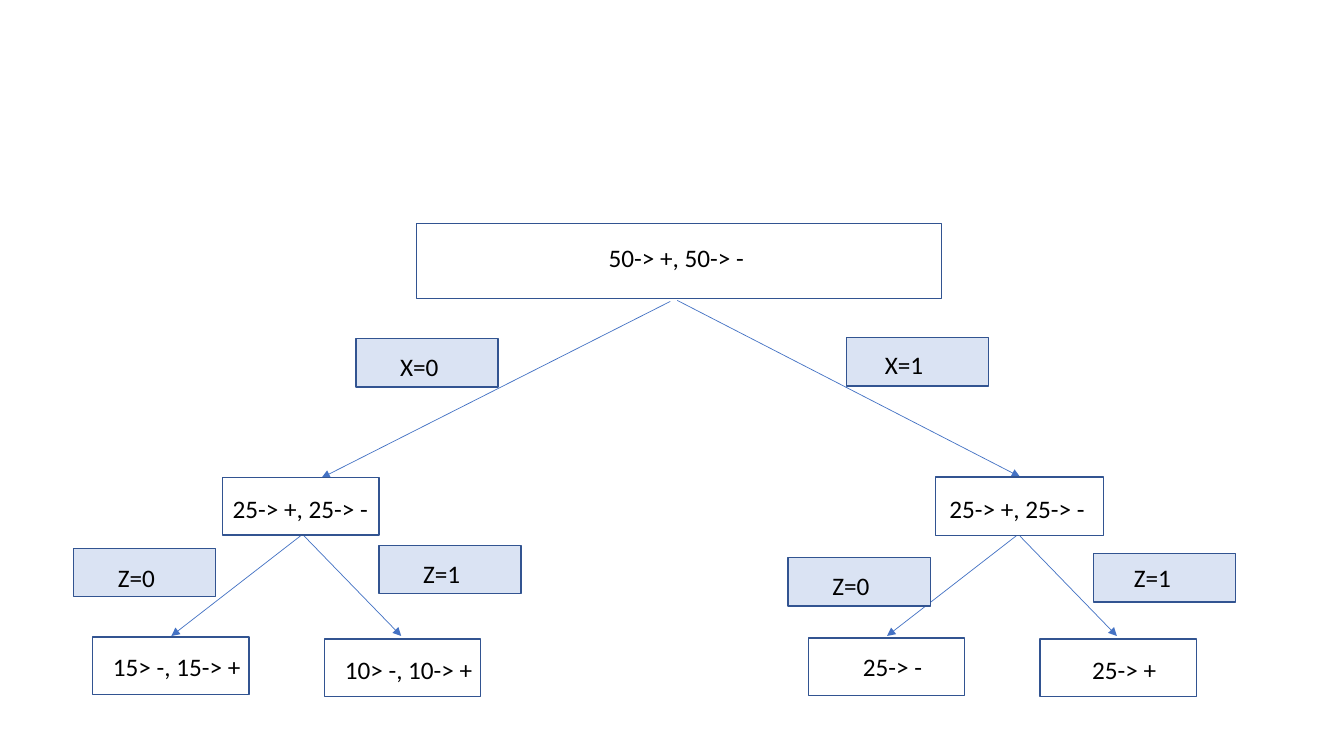
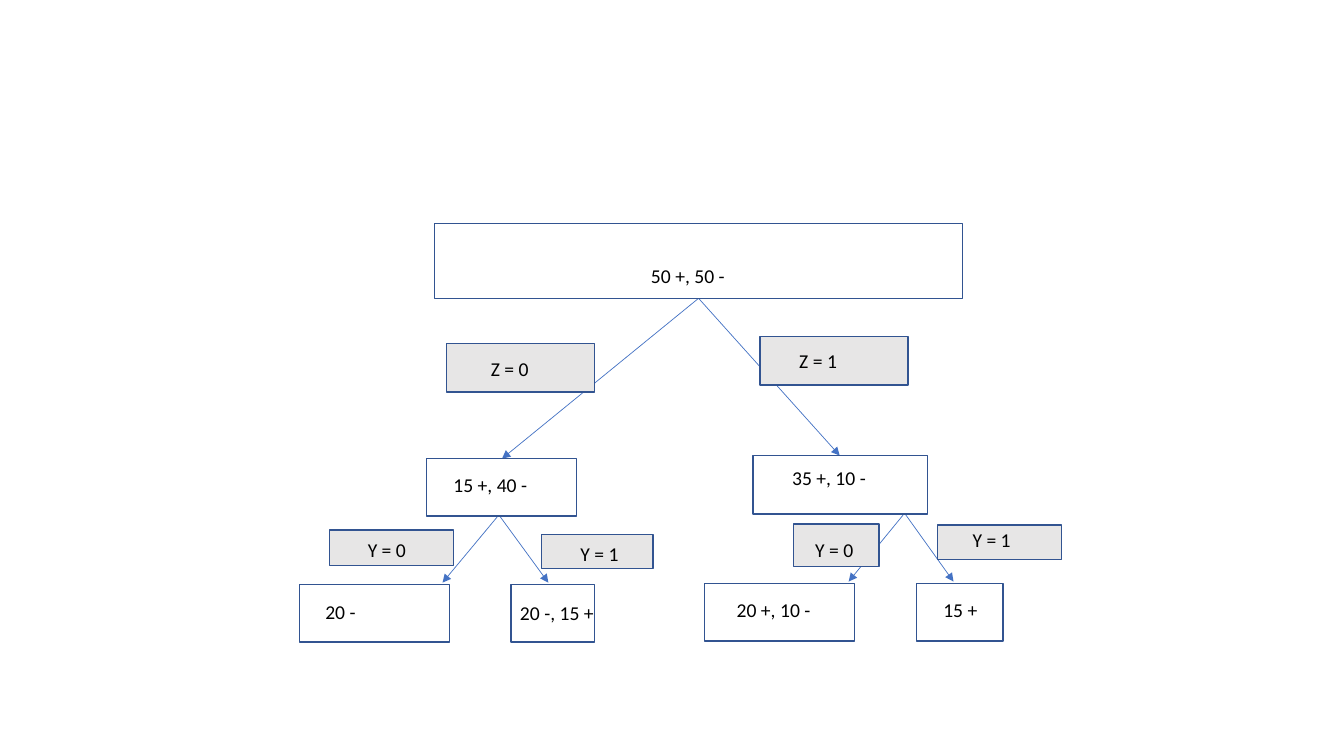
from typing import NamedTuple

from lxml import etree
from pptx import Presentation
from pptx.dml.color import RGBColor
from pptx.enum.shapes import MSO_CONNECTOR, MSO_SHAPE
from pptx.enum.text import MSO_AUTO_SIZE, PP_ALIGN
from pptx.oxml.ns import qn
from pptx.util import Pt

RECTANGLE = MSO_SHAPE.RECTANGLE
STRAIGHT = MSO_CONNECTOR.STRAIGHT
GROW = MSO_AUTO_SIZE.SHAPE_TO_FIT_TEXT
LEFT, CENTER = PP_ALIGN.LEFT, PP_ALIGN.CENTER

COLORS = {
    "node": "FFFFFF",
    "blue_test": "DAE3F3",
    "gray_test": "E7E6E6",
    "outline": "325491",
    "arrow": "4472C4",
    "text": "000000",
}
FONT = "Calibri"
SLIDE_SIZE = (960, 540)
BLANK_LAYOUT = 6


class Box(NamedTuple):
    text: str
    position: tuple
    size: tuple
    label_offset: tuple
    label_width: float
    align: PP_ALIGN = LEFT


class Tree(NamedTuple):
    font_size: int
    label_height: float
    test_fill: str
    arrows: list
    nodes: list
    tests: list


X_SPLIT_SMALL = (111.6, 41)
X_SPLIT_TEST = (101.5, 34.6)
X_SPLIT_TREE = Tree(
    font_size=18,
    label_height=28.8,
    test_fill="blue_test",
    arrows=[
        ((478.8, 215.3), (229.7, 341.3)),
        ((483.8, 214.6), (728.6, 340.6)),
        ((215.3, 382.3), (122.4, 454.3)),
        ((216.7, 382.3), (286.6, 454.3)),
        ((726.5, 382.3), (633.6, 454.3)),
        ((728.6, 383), (797.8, 454.3)),
    ],
    nodes=[
        Box("50-> +, 50-> -", (297.4, 159.8), (375.1, 53.3), (130.3, 10.1), 115.9),
        Box("25-> +, 25-> -", (159.1, 341.3), X_SPLIT_SMALL, (0, 7.2), 120.2),
        Box("25-> +, 25-> -", (668.2, 340.6), (120.2, 41.8), (2.9, 7.9), 120.2),
        Box("15> -, 15-> +", (66.2, 455), X_SPLIT_SMALL, (0, 6.5), 120.2, CENTER),
        Box("10> -, 10-> +", (231.8, 456.5), X_SPLIT_SMALL, (0, 7.2), 120.2, CENTER),
        Box("25-> -", (577.4, 455.8), X_SPLIT_SMALL, (0, 5.8), 120.2, CENTER),
        Box("25-> +", (743, 456.5), X_SPLIT_SMALL, (0, 7.2), 120.2, CENTER),
    ],
    tests=[
        Box("X=0", (254.2, 241.9), X_SPLIT_TEST, (24.5, 5.8), 77),
        Box("X=1", (604.8, 241.2), X_SPLIT_TEST, (20.2, 5), 77),
        Box("Z=0", (52.6, 391.7), X_SPLIT_TEST, (24.5, 6.5), 77),
        Box("Z=1", (270.7, 389.5), X_SPLIT_TEST, (24.5, 5.8), 77),
        Box("Z=0", (563, 398.2), X_SPLIT_TEST, (24.5, 5.8), 77),
        Box("Z=1", (781.2, 395.3), X_SPLIT_TEST, (21.6, 2.9), 77),
    ],
)

Z_SPLIT_SMALL = (107.3, 41)
Z_SPLIT_TEST = (105.8, 34.6)
Z_SPLIT_TREE = Tree(
    font_size=14,
    label_height=24.5,
    test_fill="gray_test",
    arrows=[
        ((499, 213.1), (358.6, 327.6)),
        ((499, 213.1), (599.8, 325.4)),
        ((355.7, 368.6), (316.1, 416.2)),
        ((356.4, 367.9), (391.7, 416.2)),
        ((645.1, 367.9), (606.2, 415.4)),
        ((646.6, 367.2), (681.1, 415.4)),
    ],
    nodes=[
        Box("50 +, 50 -", (310.3, 159.8), (377.3, 53.3), (147.6, 25.2), 120.2),
        Box("15 +, 40 -", (304.6, 327.6), Z_SPLIT_SMALL, (12.2, 6.5), 124.6),
        Box("35 +, 10 -", (537.8, 325.4), (124.6, 41.8), (20.9, 3.6), 124.6),
        Box("20 -", (213.8, 417.6), Z_SPLIT_SMALL, (11.5, 7.2), 124.6),
        Box("20 -, 15 +", (365, 417.6), (59.8, 41), (-0.7, 7.9), 73.4),
        Box("20 +, 10 -", (503.3, 416.9), Z_SPLIT_SMALL, (15.8, 6.5), 72.7),
        Box("15 +", (654.5, 416.9), (61.9, 41), (12.2, 6.5), 41),
    ],
    tests=[
        Box("Z = 0", (319, 245.5), Z_SPLIT_TEST, (24.5, 5.8), 79.9),
        Box("Z = 1", (542.9, 240.5), Z_SPLIT_TEST, (20.9, 5), 79.9),
        Box("Y = 0", (235.4, 378.7), (88.6, 25.2), (20.2, 2.2), 58.3),
        Box("Y = 1", (386.6, 381.6), (79.9, 24.5), (20.9, 2.2), 79.9),
        Box("Y = 0", (566.6, 374.4), (61.2, 30.2), (8.6, 6.5), 56.2),
        Box("Y = 1", (669.6, 375.1), (88.6, 24.5), (18, -1.4), 79.9),
    ],
)


def color(name):
    return RGBColor.from_string(COLORS[name])


def points(*values):
    return [Pt(value) for value in values]


def add_arrow(slide, start, end):
    connector = slide.shapes.add_connector(STRAIGHT, *points(*start, *end))
    connector.line.color.rgb = color("arrow")
    connector.line.width = Pt(0.5)
    line = connector.line._get_or_add_ln()
    etree.SubElement(line, qn("a:tailEnd"), type="triangle")
    etree.SubElement(connector._element.spPr, qn("a:effectLst"))


def add_rectangle(slide, box, fill):
    shape = slide.shapes.add_shape(RECTANGLE, *points(*box.position, *box.size))
    shape.shadow.inherit = False
    shape.fill.solid()
    shape.fill.fore_color.rgb = color(fill)
    shape.line.color.rgb = color("outline")
    shape.line.width = Pt(1)


def add_label(slide, box, tree):
    left = box.position[0] + box.label_offset[0]
    top = box.position[1] + box.label_offset[1]
    shape = slide.shapes.add_textbox(*points(left, top, box.label_width, tree.label_height))
    frame = shape.text_frame
    frame.word_wrap = True
    frame.auto_size = GROW
    paragraph = frame.paragraphs[0]
    paragraph.text = box.text
    paragraph.alignment = box.align
    paragraph.font.name = FONT
    paragraph.font.size = Pt(tree.font_size)
    paragraph.font.color.rgb = color("text")


def add_tree_slide(presentation, tree):
    slide = presentation.slides.add_slide(presentation.slide_layouts[BLANK_LAYOUT])
    for start, end in tree.arrows:
        add_arrow(slide, start, end)
    for boxes, fill in ((tree.nodes, "node"), (tree.tests, tree.test_fill)):
        for box in boxes:
            add_rectangle(slide, box, fill)
            add_label(slide, box, tree)


def main():
    presentation = Presentation()
    presentation.slide_width, presentation.slide_height = points(*SLIDE_SIZE)
    for tree in (X_SPLIT_TREE, Z_SPLIT_TREE):
        add_tree_slide(presentation, tree)
    presentation.save("out.pptx")


main()
